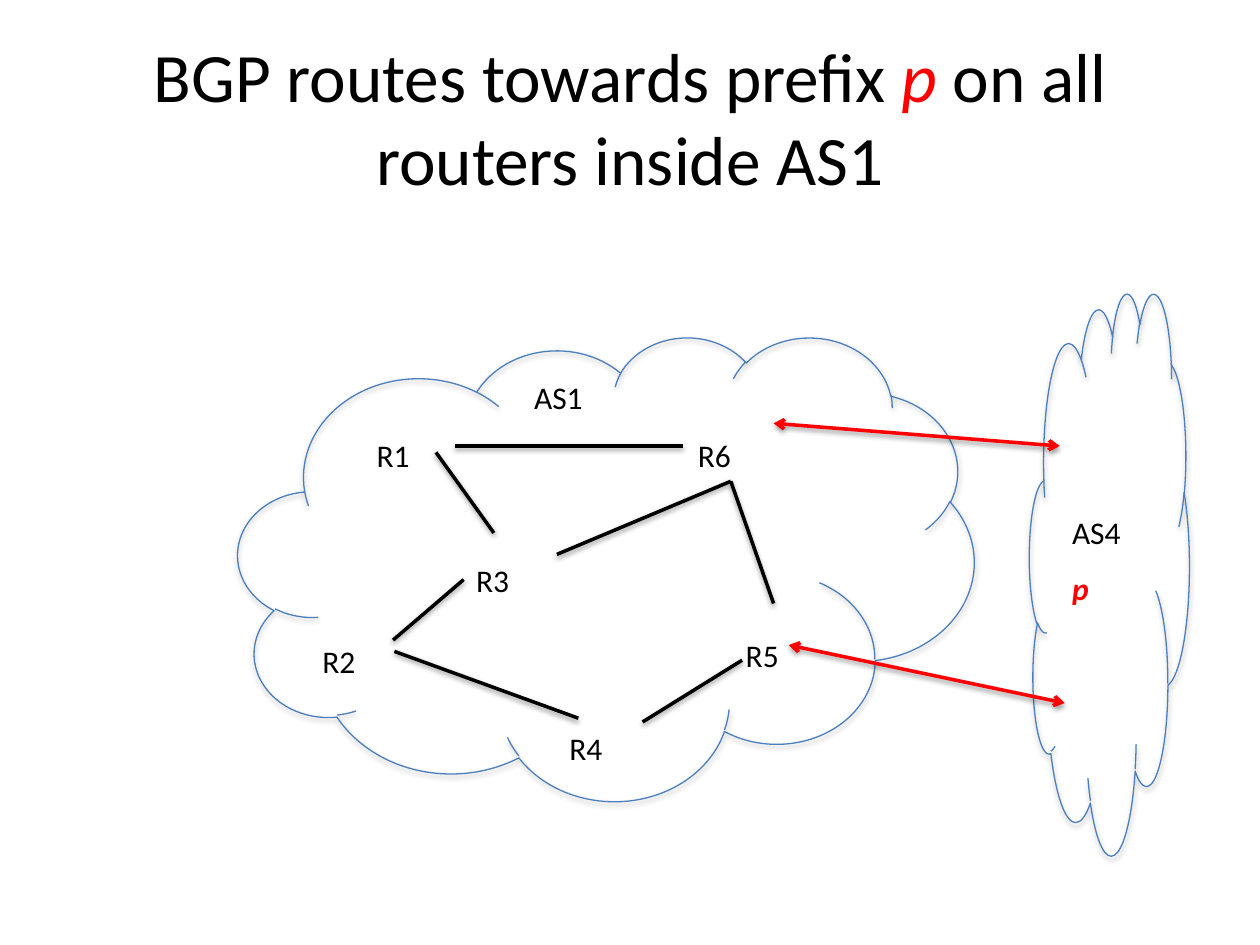
from lxml import etree
from pptx import Presentation
from pptx import util as u
from pptx.dml.color import RGBColor
from pptx.enum import shapes, text
from pptx.oxml.ns import qn

COLOURS = {"ink": "000000", "accent": "FF0000", "outline": "4B7EBC"}
CLOUDS = [(1.89, 2.67, 5.84, 3.68), (8.17, 2.32, 1.27, 4.46)]
SESSIONS = [(6.26, 5.12, 8.45, 5.58), (6.14, 3.36, 8.41, 3.54)]
LINKS = {
    "R1-R3": (3.46, 3.59, 3.92, 4.23),
    "R1-R6": (3.61, 3.54, 5.42, 3.54),
    "R2-R4": (3.13, 5.17, 4.59, 5.70),
    "R3-R6": (4.42, 4.40, 5.80, 3.82),
    "R2-R3": (3.12, 5.08, 3.68, 4.60),
    "R4-R5": (5.10, 5.73, 5.89, 5.24),
    "R5-R6": (6.14, 4.79, 5.80, 3.82),
}
LABELS = {
    "AS1": (4.14, 2.95, 0.59),
    "R1": (2.89, 3.41, 0.47),
    "AS4": (8.41, 4.02, 0.59),
    "R2": (2.46, 5.05, 0.47),
    "R3": (3.68, 4.40, 0.47),
    "R4": (4.42, 5.74, 0.47),
    "R5": (5.82, 5.00, 0.47),
    "R6": (5.44, 3.41, 0.47),
}


class Diagram:
    """Style and drawing methods for the current slide."""

    font = "Calibri"
    title_size = 39.6
    label_size = 18

    def __init__(self, page):
        self.page = page

    def colour(self, name):
        return RGBColor.from_string(COLOURS[name])

    def span(self, para, words, size, colour="ink", bold=False, italic=False):
        span = para.add_run()
        span.text = words
        font = span.font
        font.name, font.size = self.font, u.Pt(size)
        font.bold, font.italic = bold, italic
        font.color.rgb = self.colour(colour)

    def stroke(self, shape, colour, width):
        shape.line.color.rgb = self.colour(colour)
        shape.line.width = u.Pt(width)

    def shadow(self, shape, distance, opacity):
        effects = etree.SubElement(shape._element.spPr, qn("a:effectLst"))
        outer = etree.SubElement(
            effects, qn("a:outerShdw"), blurRad=str(u.Pt(3.1)),
            dist=str(u.Pt(distance)), dir="5400000", rotWithShape="0")
        tint = etree.SubElement(outer, qn("a:srgbClr"), val=COLOURS["ink"])
        etree.SubElement(tint, qn("a:alpha"), val=str(opacity * 1000))

    def title(self, spans):
        box = self.page.shapes.title
        box.left, box.top = u.Inches(0.5), u.Inches(0.3)
        box.width, box.height = u.Inches(9), u.Inches(1.25)
        frame = box.text_frame
        frame.auto_size = text.MSO_AUTO_SIZE.NONE
        frame.vertical_anchor = text.MSO_ANCHOR.MIDDLE
        para = frame.paragraphs[0]
        para.alignment = text.PP_ALIGN.CENTER
        for words, style in spans:
            self.span(para, words, self.title_size, **style)

    def cloud(self, *place):
        cloud = self.page.shapes.add_shape(
            shapes.MSO_SHAPE.CLOUD, *map(u.Inches, place))
        cloud.fill.background()
        self.stroke(cloud, "outline", 0.75)
        self.shadow(cloud, 1.8, 35)

    def line(self, ends, colour="ink", arrows=False):
        line = self.page.shapes.add_connector(
            shapes.MSO_CONNECTOR.STRAIGHT, *map(u.Inches, ends))
        self.stroke(line, colour, 2)
        if arrows:
            for end in ("a:headEnd", "a:tailEnd"):
                etree.SubElement(line.line._get_or_add_ln(), qn(end), type="arrow")
        self.shadow(line, 1.6, 38)
        return line

    def label(self, words, left, top, width, **style):
        box = self.page.shapes.add_textbox(
            *map(u.Inches, (left, top, width, 0.4)))
        frame = box.text_frame
        frame.word_wrap = False
        frame.auto_size = text.MSO_AUTO_SIZE.SHAPE_TO_FIT_TEXT
        self.span(frame.paragraphs[0], words, self.label_size, **style)
        return box


def main():
    deck = Presentation()
    deck.slide_width, deck.slide_height = u.Inches(10), u.Inches(7.5)
    diagram = Diagram(deck.slides.add_slide(deck.slide_layouts[5]))
    diagram.title([
        ("BGP routes towards prefix ", {}),
        ("p", {"colour": "accent", "italic": True}),
        (" on all routers inside AS1", {}),
    ])
    for place in CLOUDS:
        diagram.cloud(*place)
    for ends in SESSIONS:
        diagram.line(ends, "accent", arrows=True)
    links = {name: diagram.line(ends) for name, ends in LINKS.items()}
    labels = {name: diagram.label(name, *place) for name, place in LABELS.items()}
    diagram.label("p", 8.41, 4.47, 0.39, colour="accent", bold=True, italic=True)
    links["R2-R3"].end_connect(labels["R3"], 1)
    deck.save("out.pptx")


if __name__ == "__main__":
    main()
